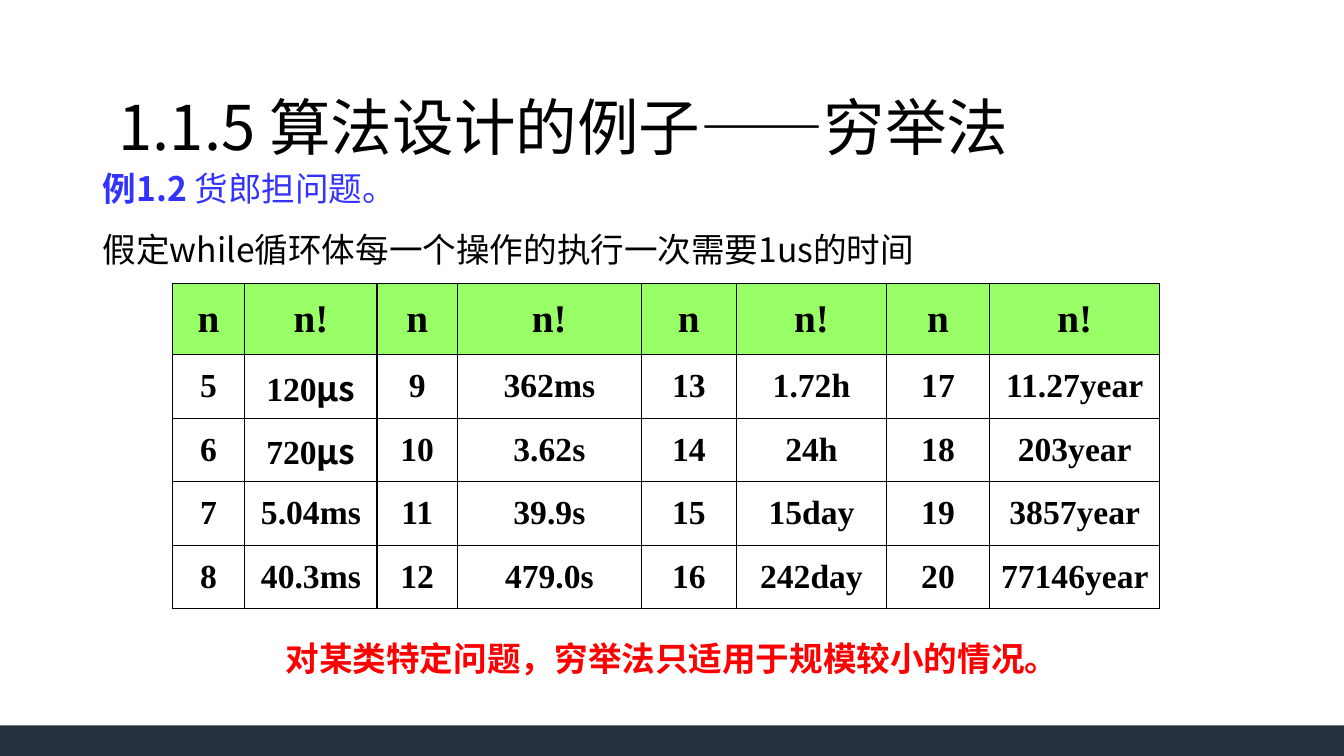
from dataclasses import dataclass

from lxml import etree
from pptx import Presentation
from pptx.dml.color import RGBColor
from pptx.enum.shapes import MSO_SHAPE
from pptx.enum.text import MSO_ANCHOR, PP_ALIGN
from pptx.oxml.ns import qn
from pptx.util import Cm, Pt

RECT = MSO_SHAPE.RECTANGLE
TOP, MIDDLE = MSO_ANCHOR.TOP, MSO_ANCHOR.MIDDLE
LEFT, CENTER = PP_ALIGN.LEFT, PP_ALIGN.CENTER
EDGES = ("a:lnL", "a:lnR", "a:lnT", "a:lnB")


@dataclass(frozen=True)
class Theme:
    """Colours, fonts and type sizes of the slide."""
    ink: str = "000000"
    blue: str = "3333FF"
    red: str = "FF0000"
    green: str = "99FF66"
    navy: str = "26323E"
    sans: str = "Noto Sans CJK SC"
    serif: str = "Times New Roman"
    title: int = 44
    head: int = 28
    body: int = 24


class Board:
    """Draws styled elements on one slide."""

    def __init__(self, slide, theme):
        self.slide = slide
        self.theme = theme

    def bar(self, box, color):
        """Add a plain filled bar."""
        bar = self.slide.shapes.add_shape(RECT, *map(Cm, box))
        bar.shadow.inherit = False
        bar.fill.solid()
        bar.fill.fore_color.rgb = RGBColor.from_string(color)
        bar.line.fill.background()

    def run(self, para, text, color, face, **form):
        """Add a run with its font format."""
        run = para.add_run()
        run.text = text
        form["name"] = face
        for key, value in form.items():
            setattr(run.font, key, value)
        run.font.color.rgb = RGBColor.from_string(color)
        east = etree.SubElement(run.font._element, qn("a:ea"))
        east.set("typeface", face)

    def text(self, box, lines, anchor=TOP, **form):
        """Add a text box from lines of (text, color, size, bold) runs."""
        frame = self.slide.shapes.add_textbox(*map(Cm, box)).text_frame
        frame.word_wrap = True
        frame.vertical_anchor = anchor
        for i, line in enumerate(lines):
            para = frame.add_paragraph() if i else frame.paragraphs[0]
            for key, value in form.items():
                setattr(para, key, value)
            for words, color, size, bold in line:
                self.run(para, words, color, self.theme.sans, size=Pt(size), bold=bold)

    def edge(self, cell):
        """Draw a thin line on each side of a cell."""
        props = cell._tc.get_or_add_tcPr()
        for i, tag in enumerate(EDGES):
            line = etree.Element(qn(tag), w=str(Pt(1)))
            fill = etree.SubElement(line, qn("a:solidFill"))
            etree.SubElement(fill, qn("a:srgbClr"), val=self.theme.ink)
            props.insert(i, line)

    def cell(self, cell, words, head):
        """Fill one table cell."""
        theme = self.theme
        form = {"margin_left": 0, "margin_right": 0, "margin_top": Cm(0.13),
                "margin_bottom": Cm(0.13), "vertical_anchor": MIDDLE}
        for key, value in form.items():
            setattr(cell, key, value)
        if head:
            cell.fill.solid()
            cell.fill.fore_color.rgb = RGBColor.from_string(theme.green)
        else:
            cell.fill.background()
        self.edge(cell)
        para = cell.text_frame.paragraphs[0]
        para.alignment = CENTER
        size = Pt(theme.head if head else theme.body)
        num, mu, rest = words.partition("μ")
        for part, face in ((num, theme.serif), (mu + rest, theme.sans)):
            if part:
                self.run(para, part, theme.ink, face, size=size, bold=True)

    def table(self, spot, wide, high, rows):
        """Add a ruled table with a tinted head row."""
        box = (*spot, sum(wide), sum(high))
        table = self.slide.shapes.add_table(len(high), len(wide), *map(Cm, box)).table
        table.first_row = table.horz_banding = False
        for col, width in zip(table.columns, wide):
            col.width = Cm(width)
        for i, (row, words) in enumerate(zip(table.rows, rows)):
            row.height = Cm(high[i])
            for cell, word in zip(row.cells, words):
                self.cell(cell, word, i == 0)


def main():
    """Build and save the slide."""
    deck = Presentation()
    deck.slide_width, deck.slide_height = Cm(33.87), Cm(19.05)
    theme = Theme()
    board = Board(deck.slides.add_slide(deck.slide_layouts[6]), theme)
    board.bar((0, 18.28, 33.87, 0.77), theme.navy)
    board.text((2.34, 3.61, 29.21, 3.33), [
        [("例1.2 ", theme.blue, theme.body, True),
         ("货郎担问题。", theme.blue, theme.body, False)],
        [("假定while循环体每一个操作的执行一次需要1us的时间",
          theme.ink, theme.body, False)],
    ], line_spacing=1.5, alignment=LEFT)

    times = [
        ("120μs", "362ms", "1.72h", "11.27year"),
        ("720μs", "3.62s", "24h", "203year"),
        ("5.04ms", "39.9s", "15day", "3857year"),
        ("40.3ms", "479.0s", "242day", "77146year"),
    ]
    rows = [["n", "n!"] * 4]
    for i, line in enumerate(times):
        rows.append([word for j, time in enumerate(line)
                     for word in (str(5 + i + 4 * j), time)])
    wide = (1.83, 3.33, 2.03, 4.63, 2.4, 3.78, 2.6, 4.29)
    board.table((4.34, 7.14), wide, [1.8] + [1.6] * 4, rows)

    board.text((0, 15.95, 33.87, 1.27), [
        [("对某类特定问题，穷举法只适用于规模较小的情况。", theme.red, theme.body, True)],
    ], alignment=CENTER)
    board.text((2.74, 1.45, 29.21, 3.68), [
        [("1.1.5 算法设计的例子——穷举法", theme.ink, theme.title, False)],
    ], MIDDLE, line_spacing=0.9, alignment=LEFT)
    deck.save("out.pptx")


if __name__ == "__main__":
    main()
